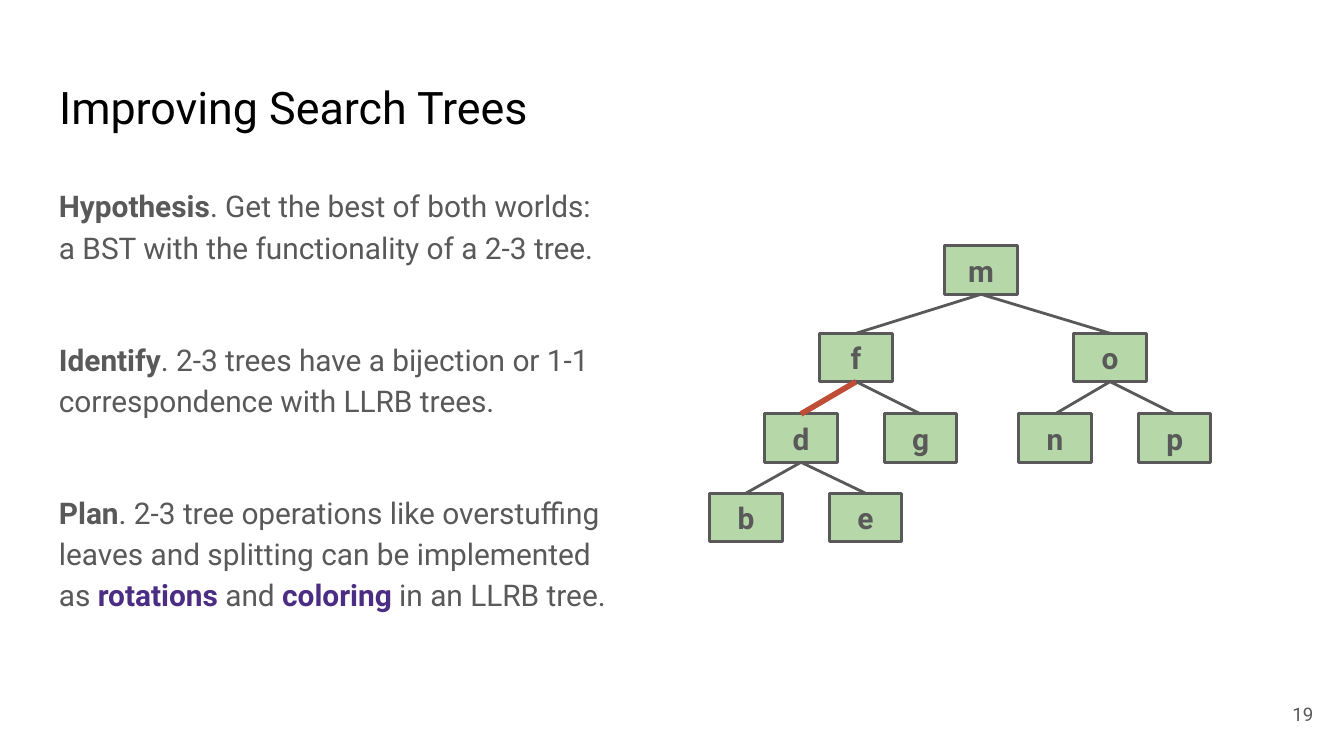
from dataclasses import dataclass

from lxml import etree
from pptx import Presentation
from pptx import util as u
from pptx.dml.color import RGBColor
from pptx.enum import shapes, text
from pptx.oxml.ns import qn


@dataclass(frozen=True)
class Theme:
    font: str = "Roboto"
    black: str = "000000"
    gray: str = "595959"
    green: str = "B6D7A8"
    purple: str = "4B2E83"
    red: str = "C04E36"
    head: int = 24
    body: int = 16
    small: int = 10
    thin: float = 1.5
    thick: float = 3


T = Theme()

# Each paragraph is a list of (text, style) runs.
BODY = [
    [("Hypothesis", "bold"),
     (". Get the best of both worlds: a BST with the functionality of a 2-3 tree.", "")],
    [("Identify", "bold"),
     (". 2-3 trees have a bijection or 1-1 correspondence with LLRB trees.", "")],
    [("Plan", "bold"),
     (". 2-3 tree operations like overstuffing leaves and splitting can be implemented as ", ""),
     ("rotations", "key"), (" and ", ""), ("coloring", "key"),
     (" in an LLRB tree.", "")],
]

# A node is (key, left child, right child); a leaf is its key alone.
TREE = ("m", ("f", ("d", "b", "e"), "g"), ("o", "n", "p"))
RED = {"fd"}
NODE_W, NODE_H = 0.54, 0.36
TOPS = [0, 0.65, 1.25, 1.84]
SPREAD = [(-0.93, 0.96)] + [(-0.41, 0.48)] * 2


def rgb(code):
    return RGBColor.from_string(code)


def place(shape, box):
    shape.left, shape.top, shape.width, shape.height = map(u.Inches, box)


def style(run, size, color, bold=False):
    font = run.font
    font.name, font.size, font.bold = T.font, u.Pt(size), bold
    font.color.rgb = rgb(color)


def setup(frame, anchor):
    frame.word_wrap = True
    frame.auto_size = text.MSO_AUTO_SIZE.NONE
    frame.vertical_anchor = anchor
    frame.margin_left = frame.margin_right = u.Inches(0.1)
    frame.margin_top = frame.margin_bottom = u.Inches(0.1)


def label(shape, words, size, color, align, bold=False,
          anchor=text.MSO_ANCHOR.MIDDLE):
    """Put one line of text in a shape."""
    frame = shape.text_frame
    setup(frame, anchor)
    frame.text = words
    para = frame.paragraphs[0]
    para.alignment = align
    style(para.runs[0], size, color, bold)


def add_title(slide, box):
    title = slide.shapes.title
    place(title, box)
    label(title, "Improving Search Trees", T.head, T.black,
          text.PP_ALIGN.LEFT, anchor=text.MSO_ANCHOR.TOP)


def add_body(slide, box):
    frame = slide.shapes.add_textbox(*map(u.Inches, box)).text_frame
    setup(frame, text.MSO_ANCHOR.TOP)
    for i, runs in enumerate(BODY):
        para = frame.add_paragraph() if i else frame.paragraphs[0]
        para.line_spacing = 1.15
        para.space_before = u.Pt(38 if i else 0)
        for words, kind in runs:
            run = para.add_run()
            run.text = words
            style(run, T.body, T.purple if kind == "key" else T.gray, bool(kind))


def add_number(slide, box):
    note = slide.shapes.add_textbox(*map(u.Inches, box))
    label(note, "19", T.small, T.gray, text.PP_ALIGN.RIGHT)


def add_node(slide, key, mid, top):
    node = slide.shapes.add_shape(
        shapes.MSO_SHAPE.RECTANGLE, u.Inches(mid - NODE_W / 2), u.Inches(top),
        u.Inches(NODE_W), u.Inches(NODE_H))
    node.shadow.inherit = False
    node.fill.solid()
    node.fill.fore_color.rgb = rgb(T.green)
    node.line.color.rgb = rgb(T.gray)
    node.line.width = u.Pt(T.thin)
    label(node, key, T.body, T.gray, text.PP_ALIGN.CENTER, True)
    return node


def add_edge(slide, upper, lower, red):
    """Join the bottom of one node to the top of another."""
    edge = slide.shapes.add_connector(shapes.MSO_CONNECTOR.STRAIGHT, 0, 0, 0, 0)
    edge.begin_connect(upper, 2)
    edge.end_connect(lower, 0)
    edge.line.color.rgb = rgb(T.red if red else T.gray)
    edge.line.width = u.Pt(T.thick if red else T.thin)
    etree.SubElement(edge.element.spPr, qn("a:effectLst"))


def add_tree(slide, tree, mid, top, depth=0):
    """Draw a subtree whose root is centred on mid, and return its root."""
    key, *kids = tree
    root = add_node(slide, key, mid, top + TOPS[depth])
    if kids:
        for kid, shift in zip(kids, SPREAD[depth]):
            node = add_tree(slide, kid, mid + shift, top, depth + 1)
            add_edge(slide, root, node, key + kid[0] in RED)
    return root


def main():
    deck = Presentation()
    deck.slide_width = u.Inches(10)
    deck.slide_height = deck.slide_width * 9 // 16
    slide = deck.slides.add_slide(deck.slide_layouts[5])
    add_title(slide, (0.34, 0.49, 4.32, 0.63))
    add_body(slide, (0.34, 1.26, 4.32, 3.74))
    add_number(slide, (9.27, 5.1, 0.6, 0.43))
    add_tree(slide, TREE, 7.3, 1.83)
    deck.save("out.pptx")


if __name__ == "__main__":
    main()
